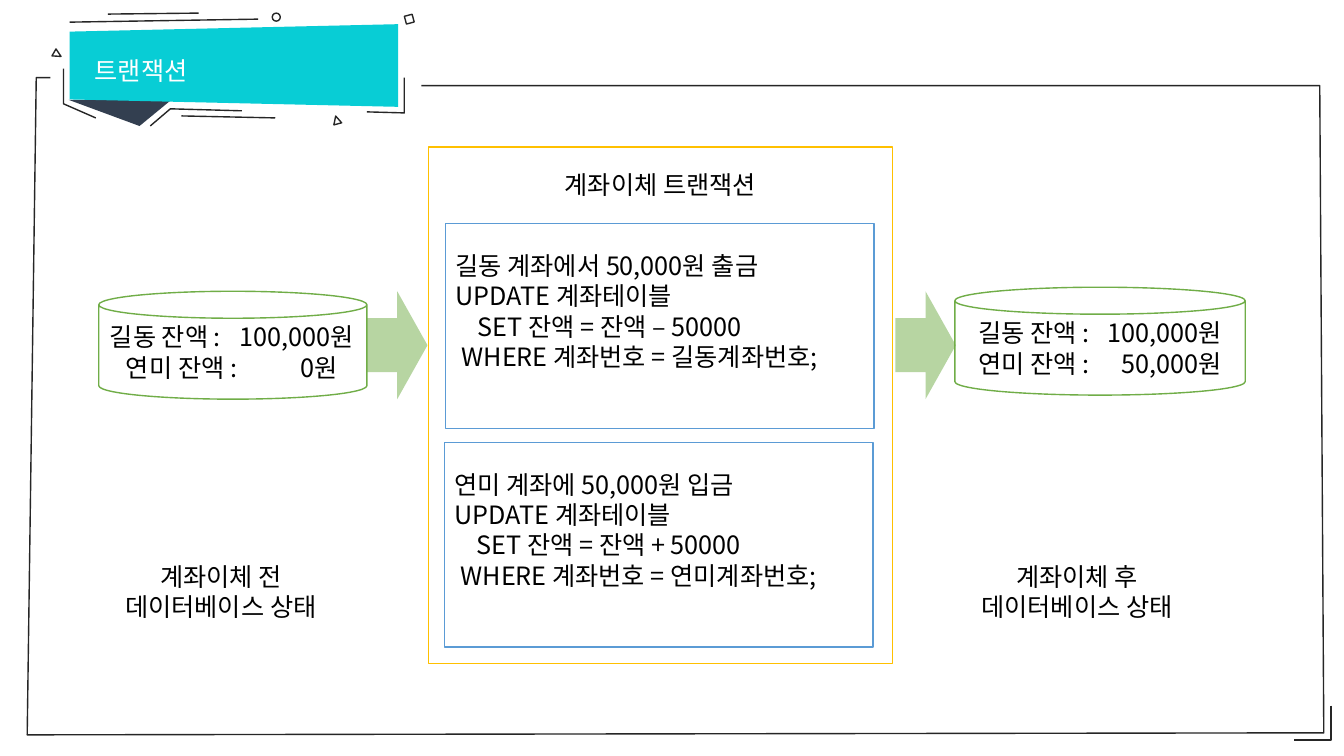
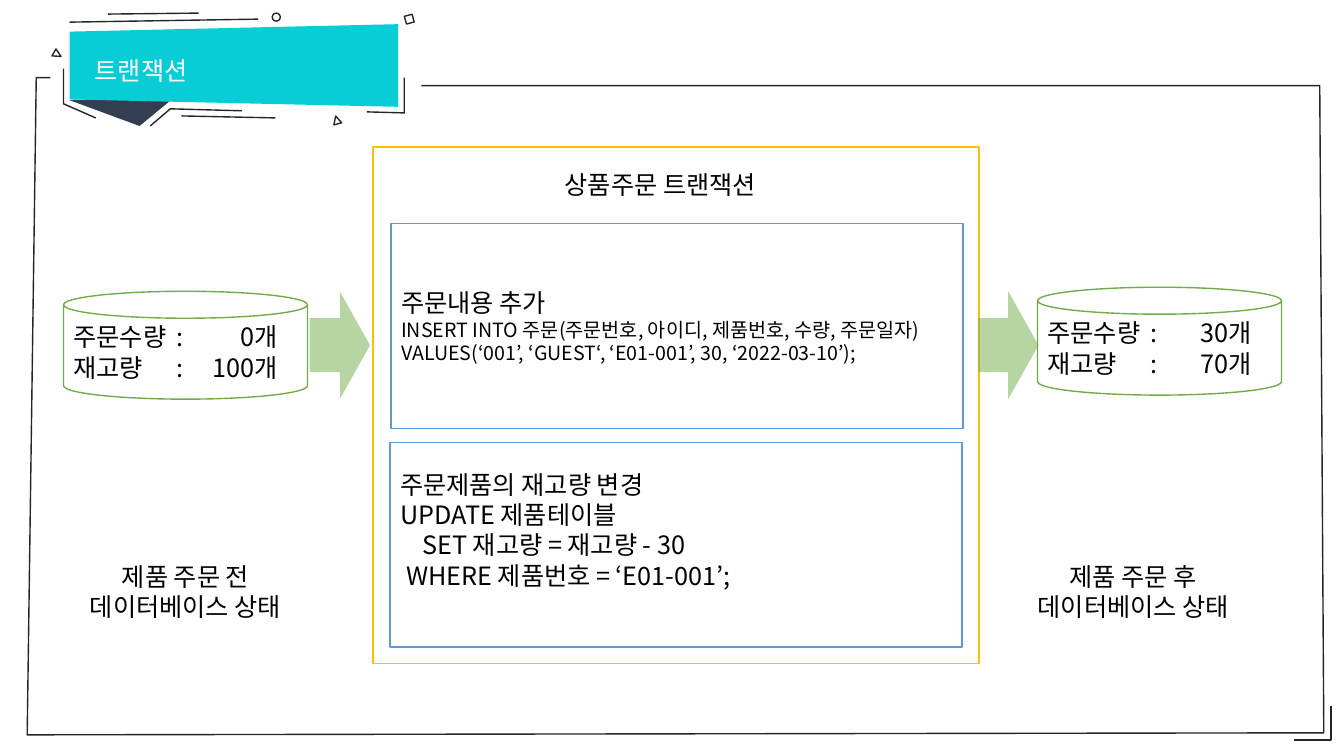
import pptx
import pptx.dml.color
import pptx.enum.shapes
import pptx.enum.text
import pptx.oxml.ns
import pptx.util
from lxml import etree

EMU_PER_PX = 9144  # 100 px to the inch
FONT = "Noto Sans CJK KR"
COLORS = {
    "paper": "FFFFFF", "text": "000000", "ink": "262626", "fold": "333F50",
    "banner": "08CDD5", "database": "70AD47", "panel": "FFC000", "statement": "5B9BD5",
}
INDENTS = {"SET": 22, "WHERE": 6}
SHAPE = pptx.enum.shapes.MSO_SHAPE
ALIGN = pptx.enum.text.PP_ALIGN
qn = pptx.oxml.ns.qn


def px(length):
    return pptx.util.Emu(length * EMU_PER_PX)


def rgb(name):
    return pptx.dml.color.RGBColor.from_string(COLORS[name])


class Deck:
    def __init__(self):
        self.prs = pptx.Presentation()
        self.prs.slide_width, self.prs.slide_height = px(1333), px(750)
        self.slide = None

    def new_slide(self, heading):
        self.slide = self.prs.slides.add_slide(self.prs.slide_layouts[6])
        self.frame()
        self.banner()
        self.textbox(84, 35, 121, 50, heading, color="paper", align=ALIGN.LEFT,
                     spacing=1.5, wrap=False)

    def paint(self, shape, fill, line):
        shape.shadow.inherit = False
        if fill:
            shape.fill.solid()
            shape.fill.fore_color.rgb = rgb(fill)
        else:
            shape.fill.background()
        if line:
            shape.line.color.rgb = rgb(line)
            shape.line.width = pptx.util.Pt(1)
        else:
            shape.line.fill.background()
        return shape

    def shape(self, kind, left, top, width, height, fill=None, line=None,
              rotation=0, adjust=None):
        shape = self.slide.shapes.add_shape(kind, px(left), px(top), px(width), px(height))
        shape.rotation = rotation
        if adjust is not None:
            shape.adjustments[0] = adjust
        return self.paint(shape, fill, line)

    def outline(self, points, fill=None):
        """Draw an open line through the points."""
        builder = self.slide.shapes.build_freeform(*points[0], scale=EMU_PER_PX)
        builder.add_line_segments(points[1:], close=False)
        return self.paint(builder.convert_to_shape(), fill, "ink")

    def line(self, x1, y1, x2, y2):
        stroke = self.slide.shapes.add_connector(
            pptx.enum.shapes.MSO_CONNECTOR.STRAIGHT, px(x1), px(y1), px(x2), px(y2))
        stroke.line.color.rgb = rgb("ink")
        stroke.line.width = pptx.util.Pt(1)
        etree.SubElement(stroke.element.spPr, qn("a:effectLst"))

    def put_text(self, shape, text, color="text", align=ALIGN.LEFT, spacing=None):
        frame = shape.text_frame
        frame.text = text
        frame.word_wrap = True
        for paragraph in frame.paragraphs:
            paragraph.alignment = align
            if spacing:
                paragraph.line_spacing = spacing
            for run in paragraph.runs:
                run.font.size = pptx.util.Pt(18)
                run.font.color.rgb = rgb(color)
                run.font.name = FONT
                etree.SubElement(run.font._element, qn("a:ea"), typeface=FONT)
        return frame

    def textbox(self, left, top, width, height, text, color="text",
                align=ALIGN.CENTER, spacing=None, wrap=True):
        box = self.slide.shapes.add_textbox(px(left), px(top), px(width), px(height))
        frame = self.put_text(box, text, color, align, spacing)
        frame.word_wrap = wrap
        frame.auto_size = pptx.enum.text.MSO_AUTO_SIZE.SHAPE_TO_FIT_TEXT

    def frame(self):
        self.outline([(418, 85), (1309, 85), (1313, 727), (27, 729), (36, 77), (50, 77)],
                     fill="paper")
        self.outline([(1320, 700), (1320, 734), (1283, 734)])

    def banner(self):
        self.shape(SHAPE.ISOSCELES_TRIANGLE, 68, 99, 102, 26, "fold",
                   rotation=180, adjust=0.31)
        self.shape(SHAPE.TRAPEZOID, 191, -98, 82, 326, "banner", rotation=270, adjust=0.09)
        for ends in ((69, 22, 256, 19), (107, 14, 197, 13), (180, 115, 273, 117)):
            self.line(*ends)
        for points in ([(63, 68), (63, 103), (95, 117)],
                       [(149, 125), (169, 108), (240, 110)],
                       [(401, 77), (401, 112), (364, 111)]):
            self.outline(points)
        for kind, left, top, rotation in ((SHAPE.OVAL, 270, 13, 0),
                                          (SHAPE.ISOSCELES_TRIANGLE, 330, 115, 345),
                                          (SHAPE.RECTANGLE, 402, 15, 345),
                                          (SHAPE.ISOSCELES_TRIANGLE, 53, 50, 120)):
            self.shape(kind, left, top, 8, 8, line="ink", rotation=rotation)

    def database(self, left, top, width, rows):
        """Draw a can; each row lists (text, stop), the last one aligned right."""
        can = self.shape(SHAPE.CAN, left, top, width, 107, "paper", "database")
        lines = ["".join("\t" + text for text, _ in row) for row in rows]
        frame = self.put_text(can, "\n".join(lines))
        frame.margin_left = frame.margin_right = 0
        frame.vertical_anchor = pptx.enum.text.MSO_ANCHOR.MIDDLE
        for paragraph, row in zip(frame.paragraphs, rows):
            tabs = etree.SubElement(paragraph._p.get_or_add_pPr(), qn("a:tabLst"))
            for cell in row:
                etree.SubElement(tabs, qn("a:tab"), pos=str(px(cell[1])),
                                 algn="r" if cell is row[-1] else "l")

    def statement(self, left, top, width, text, code_size=18, bottom=35):
        """Draw a step: its description, then its SQL."""
        box = self.shape(SHAPE.RECTANGLE, left, top, width, 203, "paper", "statement")
        frame = self.put_text(box, text)
        frame.vertical_anchor = pptx.enum.text.MSO_ANCHOR.MIDDLE
        frame.margin_bottom = px(bottom)
        for paragraph in frame.paragraphs[1:]:
            indent = INDENTS.get(paragraph.text.split()[0], 0)
            properties = paragraph._p.get_or_add_pPr()
            properties.set("marL", str(px(indent)))
            properties.set("indent", "0")
            for run in paragraph.runs:
                run.font.size = pptx.util.Pt(code_size)

    def panel(self, left, width, title):
        self.shape(SHAPE.RECTANGLE, left, 146, width, 512, "paper", "panel")
        self.textbox(425, 148, 460, 50, title, spacing=1.5)

    def arrow(self, left):
        arrow = self.shape(SHAPE.RIGHT_ARROW, left, 289, 60, 107, "database")
        color = arrow.element.spPr.find(qn("a:solidFill")).find(qn("a:srgbClr"))
        etree.SubElement(color, qn("a:alpha"), val="50000")


TRANSACTIONS = [
    {
        "databases": [
            (98, 289, 266, [[("길동 잔액 :", 11), ("100,000원", 253)],
                            [("연미 잔액 :", 27), ("0원", 237)]]),
            (947, 285, 288, [[("길동 잔액 :", 23), ("100,000원", 265)],
                             [("연미 잔액 :", 23), ("50,000원", 265)]]),
        ],
        "captions": [(98, "계좌이체 전"), (947, "계좌이체 후")],
        "panel": (425, 460, "계좌이체 트랜잭션"),
        "statements": [
            (442, 222, 425, "길동 계좌에서 50,000원 출금\nUPDATE 계좌테이블\n"
                            "SET 잔액 = 잔액 – 50000\nWHERE 계좌번호 = 길동계좌번호;"),
            (441, 439, 425, "연미 계좌에 50,000원 입금\nUPDATE 계좌테이블\n"
                            "SET 잔액 = 잔액 + 50000\nWHERE 계좌번호 = 연미계좌번호;"),
        ],
        "arrows": (364, 888),
    },
    {
        "databases": [
            (63, 289, 242, [[("주문수량", 10), (":", 112), ("0개", 212)],
                            [("재고량", 10), (":", 112), ("100개", 212)]]),
            (1029, 285, 242, [[("주문수량", 10), (":", 112), ("30개", 212)],
                              [("재고량", 10), (":", 112), ("70개", 212)]]),
        ],
        "captions": [(63, "제품 주문 전"), (1003, "제품 주문 후")],
        "panel": (370, 601, "상품주문 트랜잭션"),
        "statements": [
            (388, 222, 567, "주문내용 추가\n"
                            "INSERT INTO 주문(주문번호, 아이디, 제품번호, 수량, 주문일자)\n"
                            "VALUES(‘001’, ‘GUEST‘, ‘E01-001’, 30, ‘2022-03-10’);", 14, 5),
            (387, 439, 567, "주문제품의 재고량 변경\nUPDATE 제품테이블\n"
                            "SET 재고량 = 재고량 - 30\nWHERE 제품번호 = ‘E01-001’;"),
        ],
        "arrows": (307, 970),
    },
]


def main():
    deck = Deck()
    for transaction in TRANSACTIONS:
        deck.new_slide("트랜잭션")
        for database in transaction["databases"]:
            deck.database(*database)
        for left, moment in transaction["captions"]:
            deck.textbox(left, 552, 242, 71, moment + "\n데이터베이스 상태")
        deck.panel(*transaction["panel"])
        for statement in transaction["statements"]:
            deck.statement(*statement)
        for left in transaction["arrows"]:
            deck.arrow(left)
    deck.prs.save("out.pptx")


if __name__ == "__main__":
    main()
